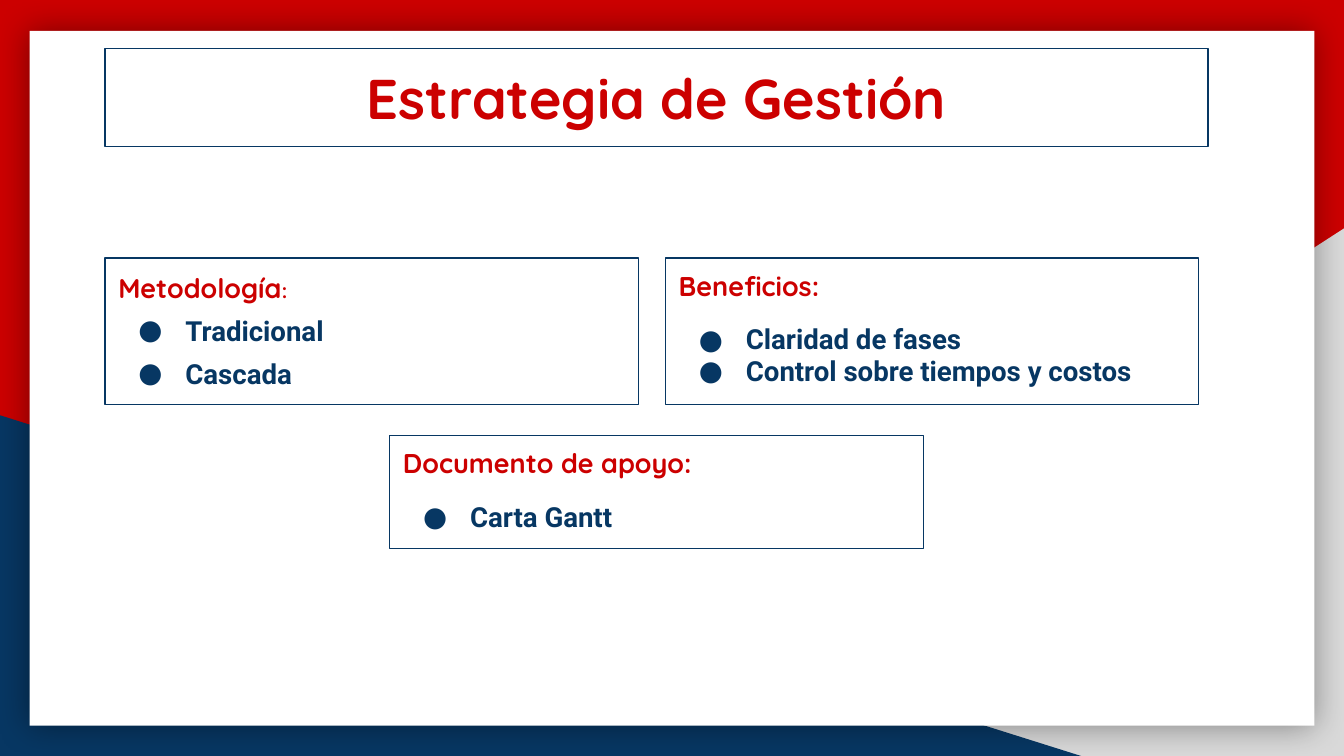
from lxml.etree import SubElement
from pptx import Presentation
from pptx.dml.color import RGBColor
from pptx.enum.shapes import MSO_SHAPE as Preset
from pptx.enum.text import MSO_ANCHOR as Anchor, MSO_AUTO_SIZE as AutoSize, PP_ALIGN as Align
from pptx.oxml.ns import qn
from pptx.util import Inches, Pt

COLORS = {"red": "CC0000", "navy": "073763", "gray": "D9D9D9", "white": "FFFFFF", "black": "000000"}
TITLE = "Estrategia de Gestión"
TITLE_BOX = (0.78, 0.36, 8.21, 0.73)
BACKDROP = [
    (Preset.RIGHT_TRIANGLE, (3.92, 1.7, 6.08, 3.93), "gray"),
    (Preset.RIGHT_TRIANGLE, (0, 3.09, 8.06, 2.54), "navy"),
    (Preset.RECTANGLE, (0.22, 0.23, 9.56, 5.17), "white"),
]
TOPICS = [
    {"heading": "Metodología", "colon": ":", "items": ["Tradicional", "Cascada"],
     "box": (0.78, 1.92, 3.97, 1.09), "heading_spacing": 1.0, "item_spacing": 1.3, "gap": 0},
    {"heading": "Beneficios:", "items": ["Claridad de fases", "Control sobre tiempos y costos"],
     "box": (4.95, 1.92, 3.97, 1.09), "heading_spacing": 0.95, "item_spacing": 0.95, "gap": 12},
    {"heading": "Documento de apoyo:", "items": ["Carta Gantt"],
     "box": (2.9, 3.24, 3.97, 0.84), "heading_spacing": 0.95, "item_spacing": 0.95, "gap": 12},
]


def rgb(name):
    return RGBColor.from_string(COLORS[name])


def style_font(font, name, size, color, bold=True):
    font.name, font.size, font.bold = name, Pt(size), bold
    font.color.rgb = rgb(color)


def frame_box(box, bounds):
    box.left, box.top, box.width, box.height = map(Inches, bounds)
    box.line.color.rgb = rgb("navy")
    box.line.width = Pt(0.75)
    frame = box.text_frame
    frame.word_wrap = True
    frame.auto_size = AutoSize.NONE
    frame.margin_left = frame.margin_right = frame.margin_top = frame.margin_bottom = Inches(0.1)
    return frame


def set_spacing(paragraph, lines, before=0):
    paragraph.alignment = Align.LEFT
    paragraph.line_spacing = lines
    paragraph.space_before = Pt(before)
    paragraph.space_after = Pt(0)


def set_bullet(paragraph, mark=None):
    properties = paragraph._p.get_or_add_pPr()
    properties.set("marL", str(Inches(0.5 if mark else 0)))
    properties.set("indent", str(Inches(-0.35 if mark else 0)))
    if mark:
        bullet_color = SubElement(properties, qn("a:buClr"))
        SubElement(bullet_color, qn("a:srgbClr"), val=COLORS["navy"])
        SubElement(properties, qn("a:buFont"), typeface="Roboto")
        SubElement(properties, qn("a:buChar"), char=mark)
    else:
        SubElement(properties, qn("a:buNone"))


def fill_topic(box, topic):
    frame = frame_box(box, topic["box"])
    frame.vertical_anchor = Anchor.TOP
    heading = frame.paragraphs[0]
    heading.add_run().text = topic["heading"]
    set_spacing(heading, topic["heading_spacing"])
    set_bullet(heading)
    style_font(heading.font, "Quicksand", 14.5, "red")
    if "colon" in topic:
        colon = heading.add_run()
        colon.text = topic["colon"]
        style_font(colon.font, "Calibri", 13.1, "red", bold=False)
    for index, text in enumerate(topic["items"]):
        item = frame.add_paragraph()
        item.text = text
        set_spacing(item, topic["item_spacing"], 0 if index else topic["gap"])
        set_bullet(item, "●")
        style_font(item.font, "Roboto", 14.8, "navy")


def add_backdrop(slide):
    for depth, (preset, bounds, color) in enumerate(BACKDROP):
        panel = slide.shapes.add_shape(preset, *map(Inches, bounds))
        panel.shadow.inherit = False
        panel.fill.solid()
        panel.fill.fore_color.rgb = rgb(color)
        panel.line.fill.background()
        if color == "gray":
            panel._element.spPr.find(qn("a:xfrm")).set("flipH", "1")
        if color == "white":
            effects = panel._element.spPr.find(qn("a:effectLst"))
            shadow = SubElement(effects, qn("a:outerShdw"), blurRad=str(Pt(18)),
                                algn="ctr", rotWithShape="0")
            shade = SubElement(shadow, qn("a:srgbClr"), val=COLORS["black"])
            SubElement(shade, qn("a:alpha"), val="40000")
        slide.shapes._spTree.insert(2 + depth, panel._element)


def main():
    """Build the management strategy slide."""
    deck = Presentation()
    deck.slide_width = Inches(10)
    deck.slide_height = deck.slide_width * 9 // 16
    slide = deck.slides.add_slide(deck.slide_layouts[3])
    slide.background.fill.solid()
    slide.background.fill.fore_color.rgb = rgb("red")

    title, *bodies = slide.placeholders
    title_frame = frame_box(title, TITLE_BOX)
    title_frame.text = TITLE
    title_frame.vertical_anchor = Anchor.MIDDLE
    heading = title_frame.paragraphs[0]
    heading.alignment = Align.CENTER
    style_font(heading.font, "Quicksand", 30, "red")

    support = slide.shapes.add_textbox(*map(Inches, TOPICS[-1]["box"]))
    for box, topic in zip([*bodies[:2], support], TOPICS):
        fill_topic(box, topic)
    add_backdrop(slide)
    deck.save("out.pptx")


if __name__ == "__main__":
    main()
